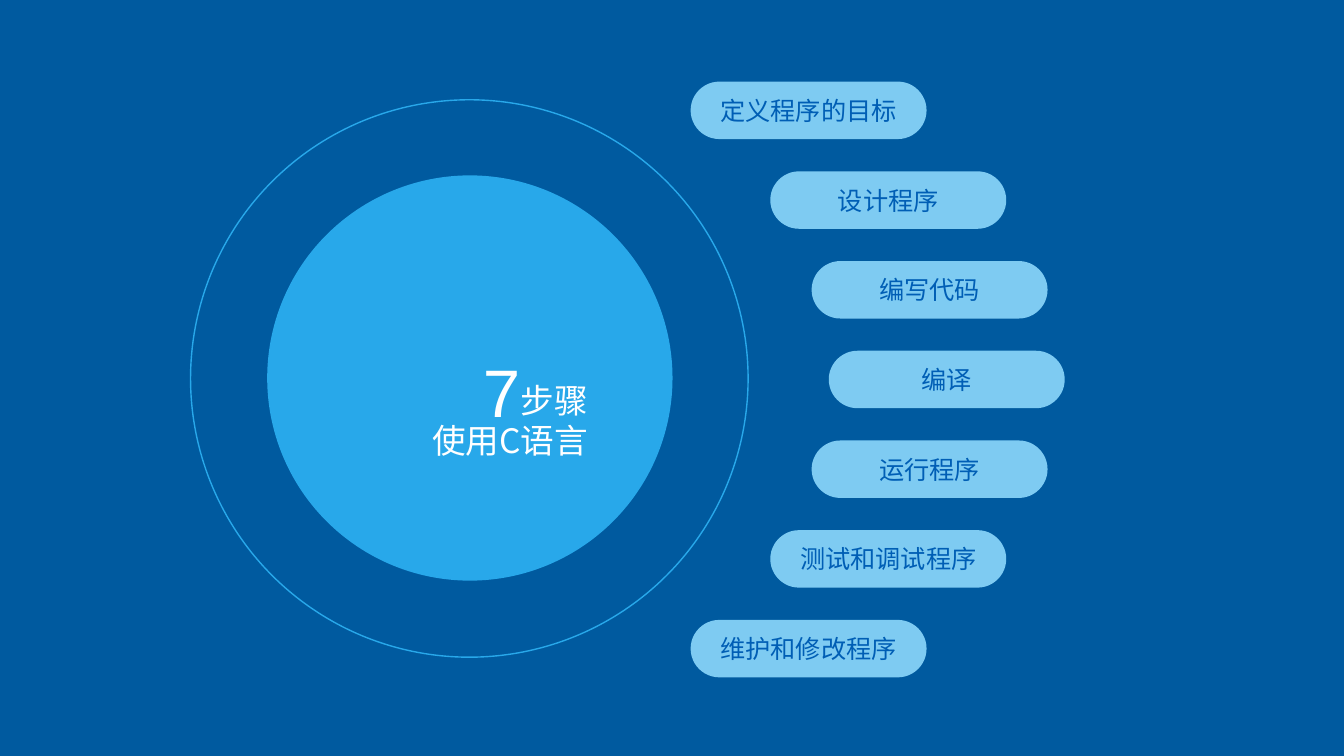
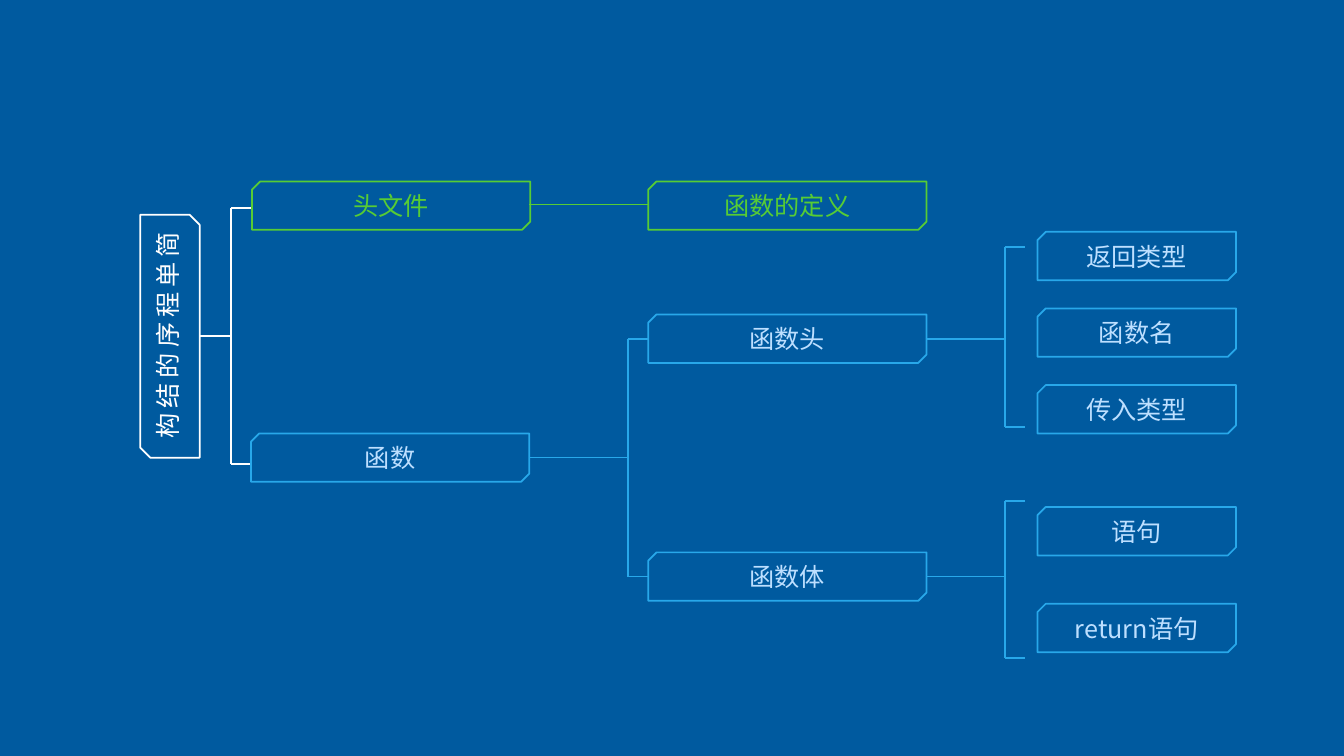
"""Build two slides on the steps of C programming and the structure of a program."""
import pptx
import pptx.dml.color
import pptx.enum.shapes
import pptx.enum.text
import pptx.oxml.ns
import pptx.util
import lxml.etree

SCALE = 9144
HUES = {"back": "005A9F", "sky": "28A8EA", "pale": "7ECBF2", "ink": "005EB5",
        "ice": "BDDFFF", "green": "57CC34", "white": "FFFFFF"}
FONT = "Noto Sans CJK SC"
SHAPES = pptx.enum.shapes.MSO_SHAPE
ALIGN = pptx.enum.text.PP_ALIGN
ANCHOR = pptx.enum.text.MSO_ANCHOR


def px(*sizes):
    return [pptx.util.Emu(size * SCALE) for size in sizes]


def tint(name):
    return pptx.dml.color.RGBColor.from_string(HUES[name])


def write(shape, text, size=18, hue="white", font=FONT, align=ALIGN.CENTER,
          anchor=ANCHOR.MIDDLE):
    frame = shape.text_frame
    frame.word_wrap = True
    frame.vertical_anchor = anchor
    frame.text = text
    for para in frame.paragraphs:
        para.alignment = align
        for run in para.runs:
            run.font.size = pptx.util.Pt(size)
            run.font.name = font
            run.font.color.rgb = tint(hue)
            east = lxml.etree.SubElement(run.font._element, pptx.oxml.ns.qn("a:ea"))
            east.set("typeface", font)


def label(slide, area, text, **style):
    write(slide.shapes.add_textbox(*px(*area)), text, anchor=ANCHOR.TOP, **style)


def draw(slide, kind, area, fill=None, line=None, width=1.25):
    shape = slide.shapes.add_shape(kind, *px(*area))
    shape.shadow.inherit = False
    if fill:
        shape.fill.solid()
        shape.fill.fore_color.rgb = tint(fill)
    else:
        shape.fill.background()
    if line:
        shape.line.color.rgb = tint(line)
        shape.line.width = pptx.util.Pt(width)
    else:
        shape.line.fill.background()
    return shape


def pill(slide, left, top, text):
    shape = draw(slide, SHAPES.ROUNDED_RECTANGLE, (left, top, 234, 57), fill="pale")
    shape.adjustments[0] = 0.5
    write(shape, text, hue="ink")


def node(slide, area, text, line="sky", hue="ice"):
    shape = draw(slide, SHAPES.SNIP_2_DIAG_RECTANGLE, area, line=line)
    shape.adjustments[0] = 0.17
    shape.adjustments[1] = 0
    write(shape, text, hue=hue)
    return shape


def link(slide, start, end, hue="sky"):
    line = slide.shapes.add_connector(
        pptx.enum.shapes.MSO_CONNECTOR.STRAIGHT, *px(*start, *end))
    line.line.color.rgb = tint(hue)
    line.line.width = pptx.util.Pt(1.25)
    lxml.etree.SubElement(line._element.spPr, pptx.oxml.ns.qn("a:effectLst"))


def fork(slide, left, stem, spine, top, end, hue="sky"):
    link(slide, (left, stem), (spine, stem), hue)
    link(slide, (spine, top), (spine, end), hue)
    for arm in (top, end):
        link(slide, (spine, arm), (spine + 20, arm), hue)


def steps(slide):
    draw(slide, SHAPES.OVAL, (265, 174, 402, 402), fill="sky")
    label(slide, (383, 372, 210, 91), "步骤\n使用C语言", size=24, align=ALIGN.RIGHT)
    label(slide, (469, 343, 60, 91), "7", size=48, font="Arial", align=ALIGN.LEFT)
    names = ("定义程序的目标", "设计程序", "编写代码", "编译",
             "运行程序", "测试和调试程序", "维护和修改程序")
    lefts = (685, 764, 805, 822)
    for i, name in enumerate(names):
        pill(slide, lefts[min(i, 6 - i)], 81 + 89 * i, name)
    draw(slide, SHAPES.OVAL, (189, 99, 553, 553), line="sky", width=1)


def tree(slide):
    fork(slide, 198, 333, 229, 206, 460, "white")
    fork(slide, 525, 454, 623, 336, 572)
    fork(slide, 918, 336, 997, 245, 424)
    fork(slide, 918, 572, 997, 497, 653)
    link(slide, (525, 203), (643, 203), "green")

    root = node(slide, (48, 304, 241, 59), "简单程序的结构", "white", "white")
    root.rotation = 270
    root.text_frame._txBody.bodyPr.set("vert", "eaVert")
    for left, name in ((250, "头文件"), (643, "函数的定义")):
        node(slide, (left, 180, 276, 48), name, "green", "green")
    for left, top, name in ((249, 430, "函数"), (643, 312, "函数头"), (643, 548, "函数体")):
        node(slide, (left, top, 276, 48), name)
    groups = ((230, 76, ("返回类型", "函数名", "传入类型")),
              (503, 96, ("语句", "return语句")))
    for top, step, names in groups:
        for i, name in enumerate(names):
            node(slide, (1029, top + step * i, 197, 48), name)


def main():
    deck = pptx.Presentation()
    deck.slide_width, deck.slide_height = px(1333, 750)
    back = deck.slide_master.background.fill
    back.solid()
    back.fore_color.rgb = tint("back")
    for build in (steps, tree):
        build(deck.slides.add_slide(deck.slide_layouts[6]))
    deck.save("out.pptx")


if __name__ == "__main__":
    main()
